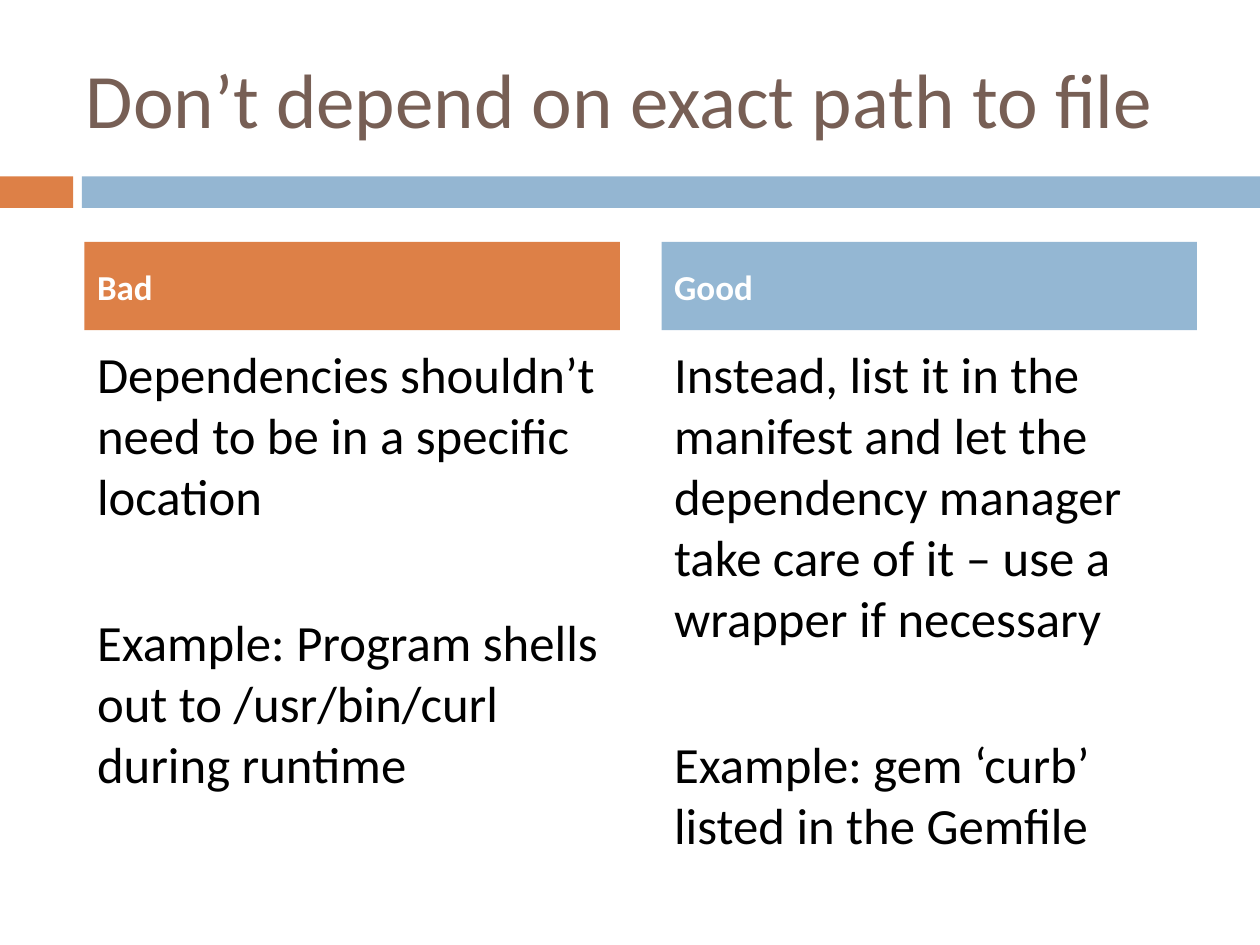
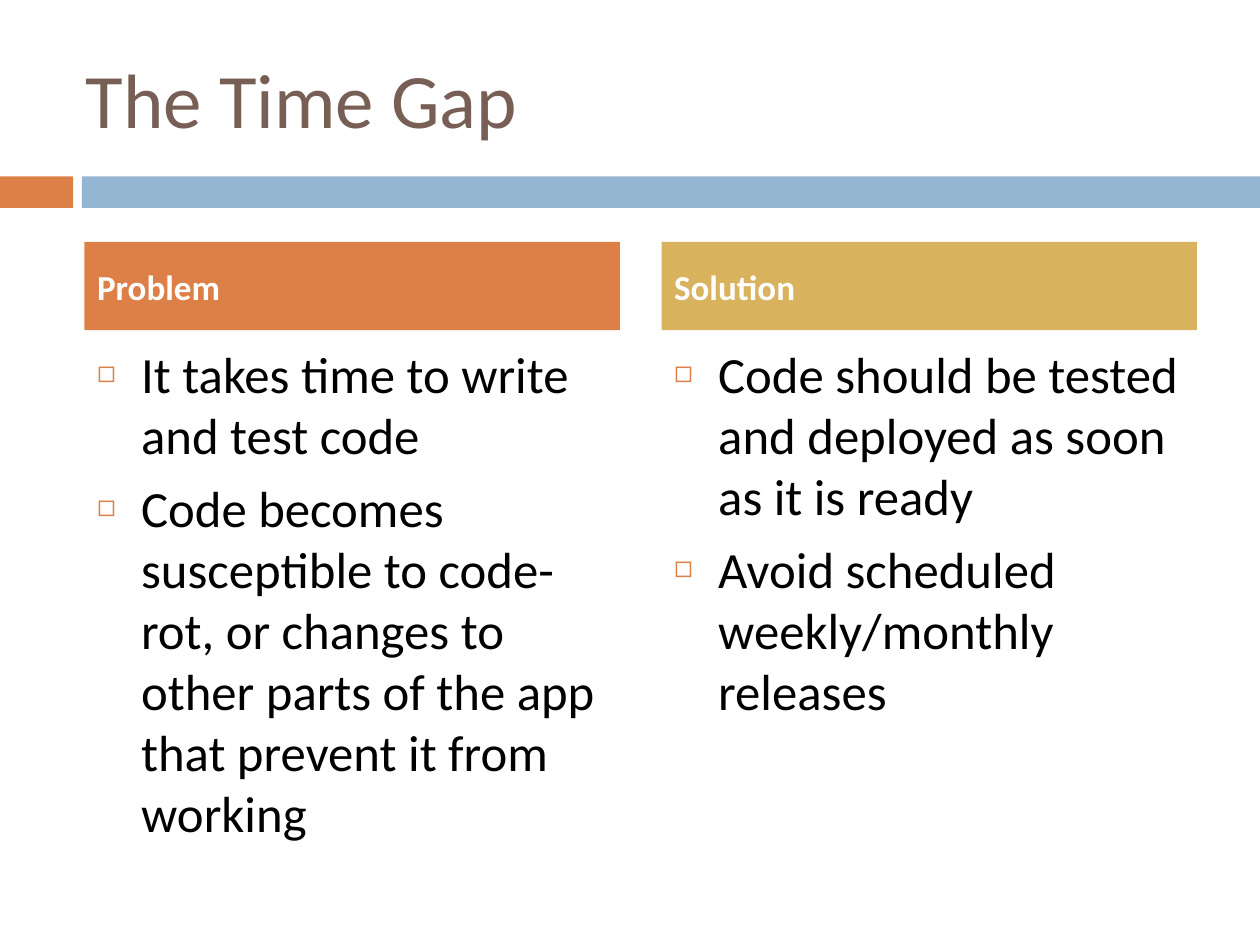
from lxml import etree
from pptx import Presentation
from pptx.dml.color import RGBColor
from pptx.enum.shapes import MSO_SHAPE
from pptx.enum.text import MSO_ANCHOR, MSO_AUTO_SIZE, PP_ALIGN
from pptx.oxml.ns import qn
from pptx.util import Inches, Pt

RECTANGLE = MSO_SHAPE.RECTANGLE
TOP, MIDDLE = MSO_ANCHOR.TOP, MSO_ANCHOR.MIDDLE
NO_AUTOFIT = MSO_AUTO_SIZE.NONE
LEFT_ALIGNED = PP_ALIGN.LEFT

ORANGE = RGBColor(0xDD, 0x80, 0x47)
BAND_BLUE = RGBColor(0x94, 0xB6, 0xD2)
HEADER_BLUE = RGBColor(0x94, 0xB7, 0xD3)
GOLD = RGBColor(0xD8, 0xB2, 0x5C)
BROWN = RGBColor(0x77, 0x5F, 0x55)
BLACK = RGBColor(0, 0, 0)
WHITE = RGBColor(0xFF, 0xFF, 0xFF)

FONT = "Calibri"
COMPARISON_LAYOUT = 4
SLIDE_WIDTH, SLIDE_HEIGHT = 10, 7.5
TITLE_BOX = (0.58, 0.3, 8.92, 0.95)
BAND_TOP, BAND_HEIGHT = 1.4, 0.25
BAND_TAB_WIDTH, BAND_LEFT = 0.58, 0.65
COLUMN_LEFTS = (0.67, 5.25)
COLUMN_TOP, COLUMN_WIDTH, COLUMN_HEIGHT = 1.92, 4.25, 4.67
HEADER_HEIGHT, HEADER_GAP = 0.7, 0.05
BULLET_INDENT = 0.35
LINE_SPACE, BLOCK_SPACE = 7, 49


def place(shape, box):
    shape.left, shape.top, shape.width, shape.height = map(Inches, box)


def set_bullet(paragraph, bulleted):
    """Give the paragraph a small hollow square, or clear its bullet."""
    properties = paragraph._p.get_or_add_pPr()
    indent = Inches(BULLET_INDENT) if bulleted else 0
    properties.set("marL", str(indent))
    properties.set("indent", str(-indent))
    if not bulleted:
        etree.SubElement(properties, qn("a:buNone"))
        return
    color = etree.SubElement(properties, qn("a:buClr"))
    etree.SubElement(color, qn("a:srgbClr"), val=str(ORANGE))
    etree.SubElement(properties, qn("a:buSzPct"), val="60000")
    etree.SubElement(properties, qn("a:buChar"), char="◻")


def write_text(shape, lines, *, size, color, bold=False, anchor=TOP,
               first_space=0, space=0, bulleted=False):
    """Fill a placeholder with one paragraph per line."""
    frame = shape.text_frame
    frame.word_wrap = True
    frame.auto_size = NO_AUTOFIT
    frame.vertical_anchor = anchor
    for index, line in enumerate(lines):
        paragraph = frame.add_paragraph() if index else frame.paragraphs[0]
        paragraph.alignment = LEFT_ALIGNED
        paragraph.space_before = Pt(space if index else first_space)
        set_bullet(paragraph, bulleted)
        run = paragraph.add_run()
        run.text = line
        run.font.name = FONT
        run.font.size = Pt(size)
        run.font.bold = bold
        run.font.color.rgb = color


def add_band(slide):
    tab = (0, BAND_TAB_WIDTH, ORANGE)
    bar = (BAND_LEFT, SLIDE_WIDTH - BAND_LEFT, BAND_BLUE)
    for left, width, color in (tab, bar):
        shape = slide.shapes.add_shape(
            RECTANGLE, Inches(left), Inches(BAND_TOP), Inches(width), Inches(BAND_HEIGHT))
        shape.shadow.inherit = False
        shape.fill.solid()
        shape.fill.fore_color.rgb = color
        shape.line.fill.background()


def fill_column(header, body, box, heading, color, lines, bulleted):
    """Place a coloured header at the top of the box and its text below."""
    left, top, width, height = box
    place(header, (left, top, width, HEADER_HEIGHT))
    header.fill.solid()
    header.fill.fore_color.rgb = color
    write_text(header, [heading], size=20, color=WHITE, bold=True, anchor=MIDDLE,
               first_space=LINE_SPACE)

    offset = HEADER_HEIGHT + HEADER_GAP
    place(body, (left, top + offset, width, height - offset))
    write_text(body, lines, size=29, color=BLACK, first_space=LINE_SPACE,
               space=LINE_SPACE if bulleted else BLOCK_SPACE, bulleted=bulleted)


def add_comparison_slide(presentation, title, columns, bulleted=False):
    slide = presentation.slides.add_slide(presentation.slide_layouts[COMPARISON_LAYOUT])
    add_band(slide)
    place(slide.shapes.title, TITLE_BOX)
    write_text(slide.shapes.title, [title], size=44, color=BROWN, anchor=MIDDLE)
    _, left_header, left_body, right_header, right_body = slide.placeholders
    pairs = ((left_header, left_body), (right_header, right_body))
    for (header, body), left, (heading, color, lines) in zip(pairs, COLUMN_LEFTS, columns):
        box = (left, COLUMN_TOP, COLUMN_WIDTH, COLUMN_HEIGHT)
        fill_column(header, body, box, heading, color, lines, bulleted)


def main():
    presentation = Presentation()
    presentation.slide_width = Inches(SLIDE_WIDTH)
    presentation.slide_height = Inches(SLIDE_HEIGHT)
    add_comparison_slide(presentation, "Don’t depend on exact path to file", [
        ("Bad", ORANGE, [
            "Dependencies shouldn’t need to be in a specific location",
            "Example: Program shells out to /usr/bin/curl during runtime"]),
        ("Good", HEADER_BLUE, [
            "Instead, list it in the manifest and let the dependency manager "
            "take care of it – use a wrapper if necessary",
            "Example: gem ‘curb’ listed in the Gemfile"]),
    ])
    add_comparison_slide(presentation, "The Time Gap", [
        ("Problem", ORANGE, [
            "It takes time to write and test code",
            "Code becomes susceptible to code-rot, or changes to other parts "
            "of the app that prevent it from working"]),
        ("Solution", GOLD, [
            "Code should be tested and deployed as soon as it is ready",
            "Avoid scheduled weekly/monthly releases"]),
    ], bulleted=True)
    presentation.save("out.pptx")


if __name__ == "__main__":
    main()
